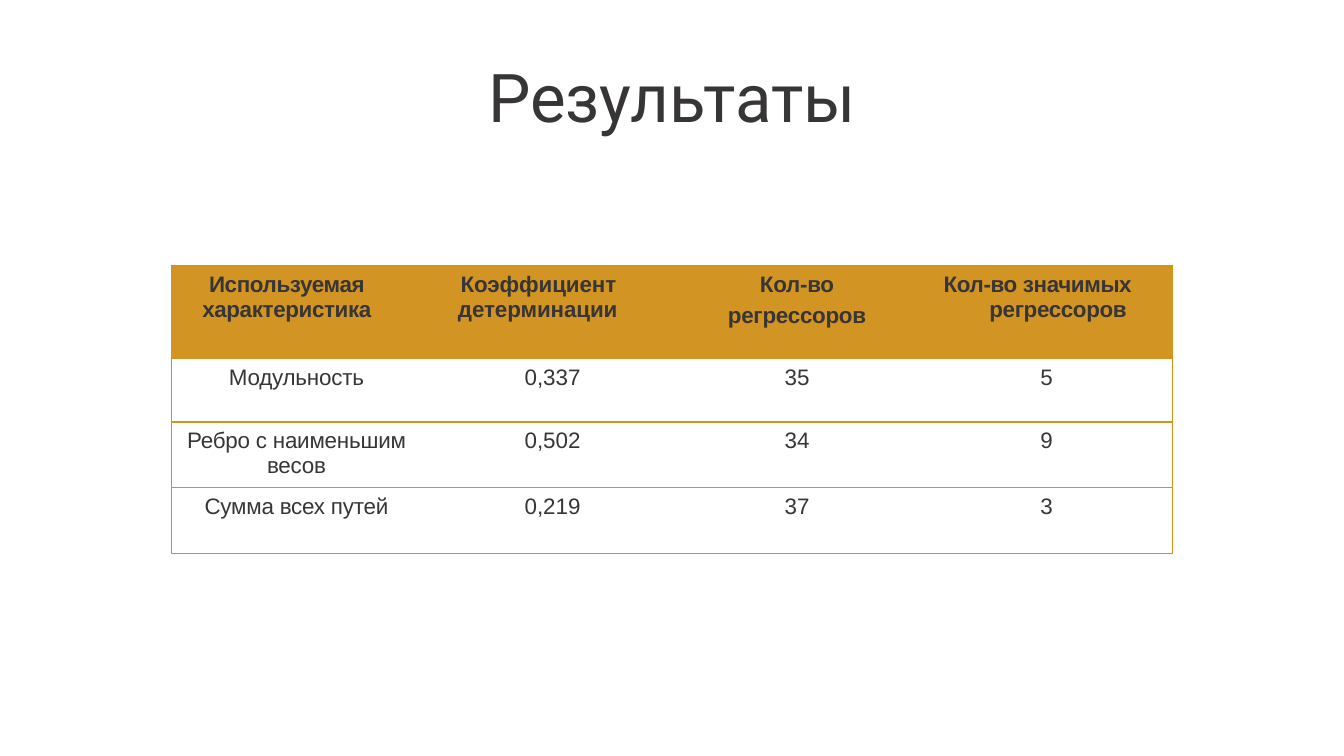
from lxml import etree
from pptx import Presentation
from pptx.dml.color import RGBColor
from pptx.enum.text import MSO_ANCHOR, PP_ALIGN
from pptx.oxml.ns import qn
from pptx.util import Inches, Pt

LEFT, MID, RIGHT = PP_ALIGN.LEFT, PP_ALIGN.CENTER, PP_ALIGN.RIGHT
TOP = MSO_ANCHOR.TOP
WIDE = 10
HIGH = WIDE * 9 / 16
INK, GOLD, AMBER = "383536", "D4921C", "D29422"
HEADS = ["Используемая характеристика", "Коэффициент детерминации",
         "Кол-во\nрегрессоров", "Кол-во значимых регрессоров"]
DATA = [["Модульность", "0,337", "35", "5"],
        ["Ребро с наименьшим весов", "0,502", "34", "9"],
        ["Сумма всех путей", "0,219", "37", "3"]]
HEAD_FORM = [(LEFT, 0.23, 0.05, 0), (LEFT, 0.27, 0.02, 0),
             (MID, 0, 0, 0), (LEFT, 0.5, -0.34, 0)]
BODY_FORM = [(MID, 0, 0, 0), (RIGHT, 0, 0, 0.68),
             (MID, 0, 0, 0), (LEFT, 0.88, 0, 0)]
HEAD_GAP = [-20, -5, -15, -20]
BODY_GAP = [-10, 0, -5, 0]
ROWS = [0.69, 0.47, 0.49, 0.49]
SPAN = 7.45


def color(code):
    return RGBColor.from_string(code)


def style(para, name, size, bold=False):
    font = para.font
    font.name, font.size, font.bold = name, Pt(size), bold
    font.color.rgb = color(INK)


def add_title(slide, text):
    box = slide.shapes.add_textbox(Inches(0.265 * WIDE), Inches(0.055 * HIGH),
                                   Inches(0.47 * WIDE), Inches(0.69))
    frame = box.text_frame
    frame.word_wrap = True
    frame.vertical_anchor = TOP
    frame.margin_left = frame.margin_right = Inches(0.1)
    frame.margin_top = frame.margin_bottom = Inches(0.1)
    para = frame.paragraphs[0]
    para.text, para.alignment = text, MID
    style(para, "Roboto", 36)


def add_edge(cell, side, code):
    props = cell._tc.get_or_add_tcPr()
    line = etree.SubElement(props, qn(f"a:ln{side}"), w=str(Pt(0.75)))
    if code:
        fill = etree.SubElement(line, qn("a:solidFill"))
        etree.SubElement(fill, qn("a:srgbClr"), val=code)
    else:
        etree.SubElement(line, qn("a:noFill"))


def fill_cell(cell, text, form, gap, head, edges):
    align, left, first, right = form
    cell.text = text
    cell.margin_left = cell.margin_bottom = 0
    cell.margin_right = Inches(right)
    cell.margin_top = Pt(3.2)
    cell.vertical_anchor = TOP
    for side, code in edges.items():
        add_edge(cell, side, code)
    if head:
        cell.fill.solid()
        cell.fill.fore_color.rgb = color(AMBER)
    else:
        cell.fill.background()
    for i, para in enumerate(cell.text_frame.paragraphs):
        para.alignment = align
        if i:
            para.space_before = Pt(3.2)
        if left:
            props = para._p.get_or_add_pPr()
            props.set("marL", str(Inches(left)))
            props.set("indent", str(Inches(first)))
        style(para, "Arial", 12, head)
        for run in para.runs:
            run._r.get_or_add_rPr().set("spc", str(gap))


def add_grid(slide):
    last = len(HEADS) - 1
    frame = slide.shapes.add_table(len(ROWS), len(HEADS), Inches(1.275),
                                   Inches(1.98), Inches(SPAN), Inches(sum(ROWS)))
    table = frame.table
    table.horz_banding = False
    for col in table.columns:
        col.width = Inches(SPAN / len(HEADS))
    for r, (high, texts) in enumerate(zip(ROWS, [HEADS] + DATA)):
        table.rows[r].height = Inches(high)
        head = r == 0
        forms = HEAD_FORM if head else BODY_FORM
        gaps = HEAD_GAP if head else BODY_GAP
        for c, (text, form, gap) in enumerate(zip(texts, forms, gaps)):
            edges = {"L": None if c else GOLD,
                     "R": GOLD if c == last else None,
                     "T": GOLD, "B": GOLD}
            fill_cell(table.cell(r, c), text, form, gap, head, edges)


def main():
    deck = Presentation()
    deck.slide_width, deck.slide_height = Inches(WIDE), Inches(HIGH)
    slide = deck.slides.add_slide(deck.slide_layouts[6])
    add_title(slide, "Результаты")
    add_grid(slide)
    deck.save("out.pptx")


if __name__ == "__main__":
    main()
